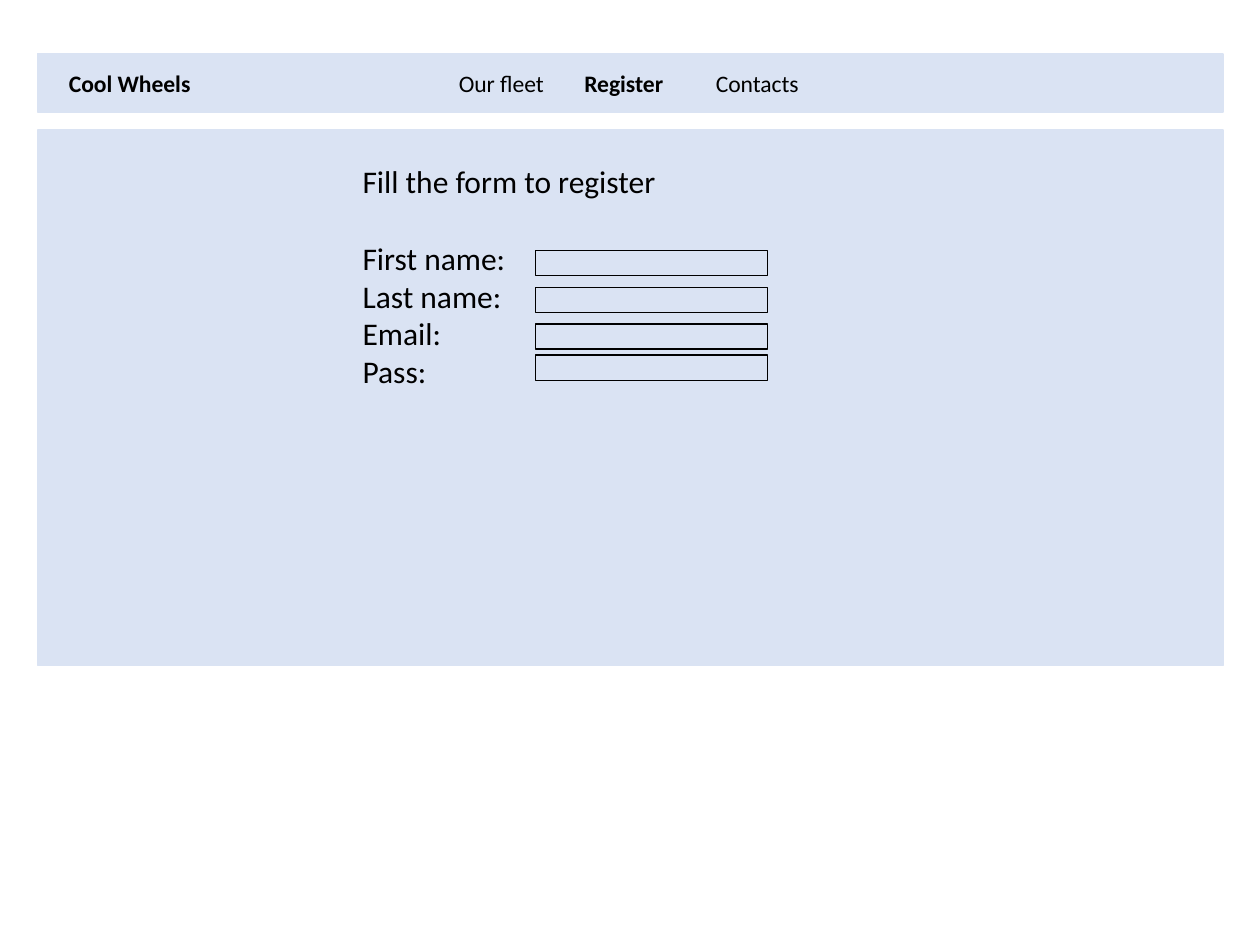
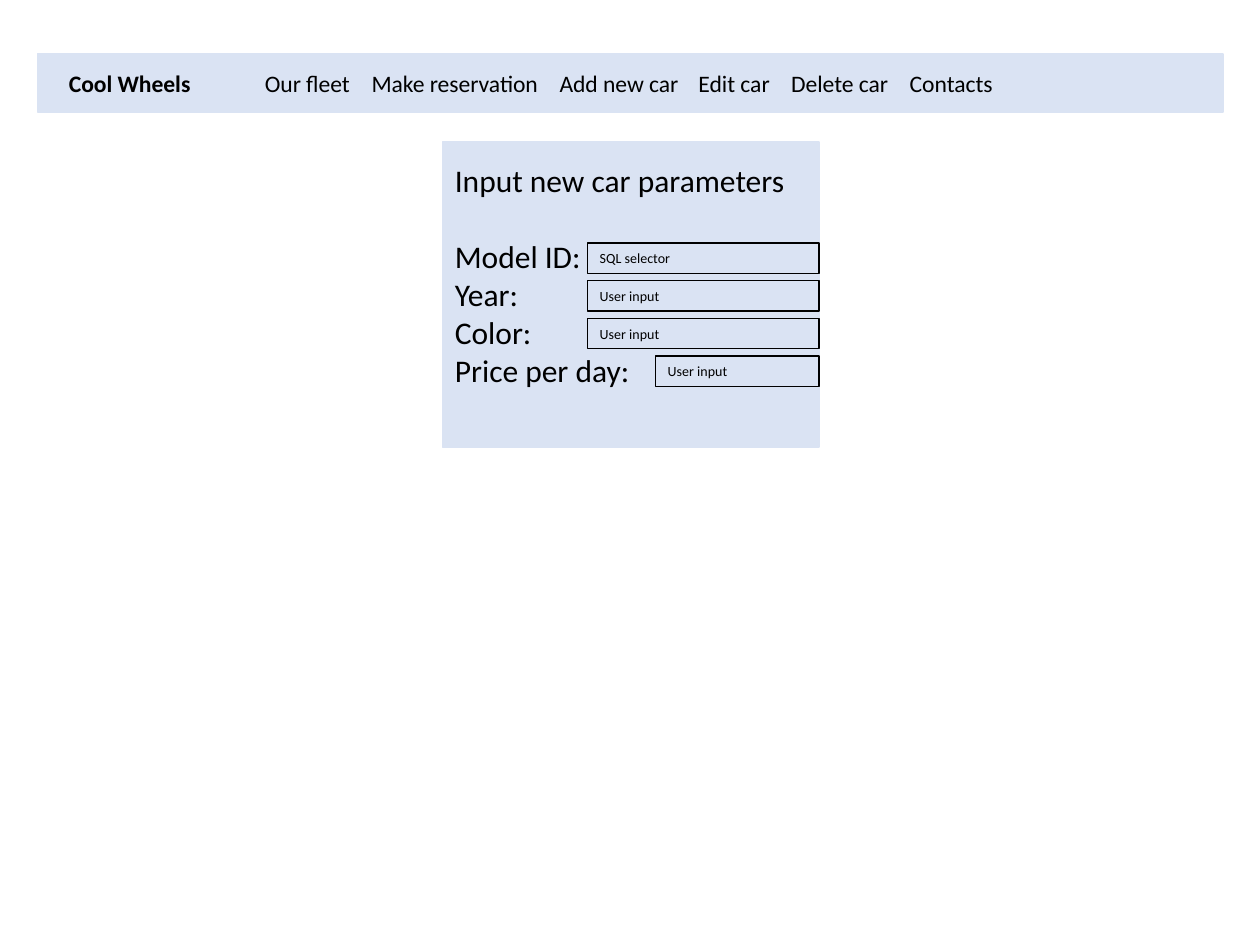
from dataclasses import dataclass

import pptx
import pptx.dml.color
import pptx.enum.shapes
import pptx.enum.text
import pptx.oxml.ns
import pptx.util
from lxml import etree

Cm = pptx.util.Cm
Pt = pptx.util.Pt
Align = pptx.enum.text.PP_ALIGN

FONT = "Calibri"
BLACK = "000000"
PALE_BLUE = "DAE3F3"
NAV_SIZE, FORM_SIZE, FIELD_SIZE = 13.5, 18, 8


@dataclass
class Box:
    left: float
    top: float
    width: float
    height: float

    def emu(self) -> tuple:
        return Cm(self.left), Cm(self.top), Cm(self.width), Cm(self.height)


@dataclass
class NavItem:
    label: str
    left: float
    active: bool = False


@dataclass
class Field:
    box: Box
    text: str = ""


@dataclass
class Page:
    nav: list[NavItem]
    panel: Box
    form: Box
    heading: str
    labels: list[str]
    fields: list[Field]


NAV_BAR = Box(0.76, 1.09, 23.9, 1.17)
BRAND = Box(0.76, 1.09, 3.71, 1.17)


def rgb(value: str) -> pptx.dml.color.RGBColor:
    return pptx.dml.color.RGBColor.from_string(value)


def add_run(p, text: str, size: float, bold: bool = False) -> None:
    r = p.add_run()
    r.text = text
    r.font.name = FONT
    r.font.size = Pt(size)
    r.font.bold = bold
    r.font.color.rgb = rgb(BLACK)


def add_rect(s, box: Box, line: str, line_width: float, fill: str | None = None):
    sp = s.shapes.add_shape(pptx.enum.shapes.MSO_SHAPE.RECTANGLE, *box.emu())
    sp.shadow.inherit = False
    if fill:
        sp.fill.solid()
        sp.fill.fore_color.rgb = rgb(fill)
    else:
        sp.fill.background()
    sp.line.color.rgb = rgb(line)
    sp.line.width = Pt(line_width)
    sp.text_frame.word_wrap = True
    sp.text_frame.vertical_anchor = pptx.enum.text.MSO_ANCHOR.MIDDLE
    return sp


def add_band(s, box: Box):
    return add_rect(s, box, PALE_BLUE, 1, PALE_BLUE)


def add_tab_stops(p, positions: list[float]) -> None:
    tabs = etree.SubElement(p._p.get_or_add_pPr(), pptx.oxml.ns.qn("a:tabLst"))
    for position in positions:
        etree.SubElement(tabs, pptx.oxml.ns.qn("a:tab"), pos=str(Cm(position)), algn="l")


def add_nav(s, items: list[NavItem]) -> None:
    tf = add_band(s, NAV_BAR).text_frame
    start = items[0].left
    tf.margin_left = Cm(start - NAV_BAR.left)
    p = tf.paragraphs[0]
    p.alignment = Align.LEFT
    add_tab_stops(p, [item.left - start for item in items[1:]])
    for i, item in enumerate(items):
        add_run(p, ("\t" if i else "") + item.label, NAV_SIZE, item.active)


def add_brand(s) -> None:
    p = add_band(s, BRAND).text_frame.paragraphs[0]
    p.alignment = Align.CENTER
    add_run(p, "Cool Wheels", NAV_SIZE, True)


def add_form(s, page: Page) -> None:
    tf = s.shapes.add_textbox(*page.form.emu()).text_frame
    tf.word_wrap = True
    p = tf.paragraphs[0]
    p.space_after = Pt(22)
    add_run(p, page.heading, FORM_SIZE)
    for label in page.labels:
        add_run(tf.add_paragraph(), label, FORM_SIZE)


def add_field(s, field: Field) -> None:
    sp = add_rect(s, field.box, BLACK, 0.75)
    if field.text:
        p = sp.text_frame.paragraphs[0]
        p.alignment = Align.LEFT
        add_run(p, field.text, FIELD_SIZE)


def add_page(prs, page: Page) -> None:
    s = prs.slides.add_slide(prs.slide_layouts[6])
    add_nav(s, page.nav)
    add_band(s, page.panel)
    add_brand(s)
    add_form(s, page)
    for field in page.fields:
        add_field(s, field)


def input_row(row: int, text: str, left: float = 11.84) -> Field:
    right = 16.51
    return Field(Box(left, 4.9 + 0.76 * row, right - left, 0.61), text)


REGISTER = Page(
    nav=[
        NavItem("Our fleet", 9.25),
        NavItem("Register", 11.78, True),
        NavItem("Contacts", 14.43),
    ],
    panel=Box(0.76, 2.62, 23.9, 10.8),
    form=Box(7.06, 3.15, 10.95, 5.64),
    heading="Fill the form to register",
    labels=["First name:", "Last name:", "Email:", "Pass:"],
    fields=[Field(Box(10.8, top, 4.67, 0.51)) for top in (5.05, 5.79, 6.53, 7.16)],
)

NEW_CAR = Page(
    nav=[
        NavItem("Our fleet", 5.34),
        NavItem("Make reservation", 7.49),
        NavItem("Add new car", 11.28),
        NavItem("Edit car", 14.08),
        NavItem("Delete car", 15.95),
        NavItem("Contacts", 18.34),
    ],
    panel=Box(8.92, 2.87, 7.59, 6.15),
    form=Box(8.92, 3.12, 7.59, 5.64),
    heading="Input new car parameters",
    labels=["Model ID:", "Year:", "Color:", "Price per day:"],
    fields=[
        input_row(0, "SQL selector"),
        input_row(1, "User input"),
        input_row(2, "User input"),
        input_row(3, "User input", left=13.21),
    ],
)

prs = pptx.Presentation()
prs.slide_width = Cm(25.4)
prs.slide_height = Cm(19.05)
for page in (REGISTER, NEW_CAR):
    add_page(prs, page)
prs.save("out.pptx")
